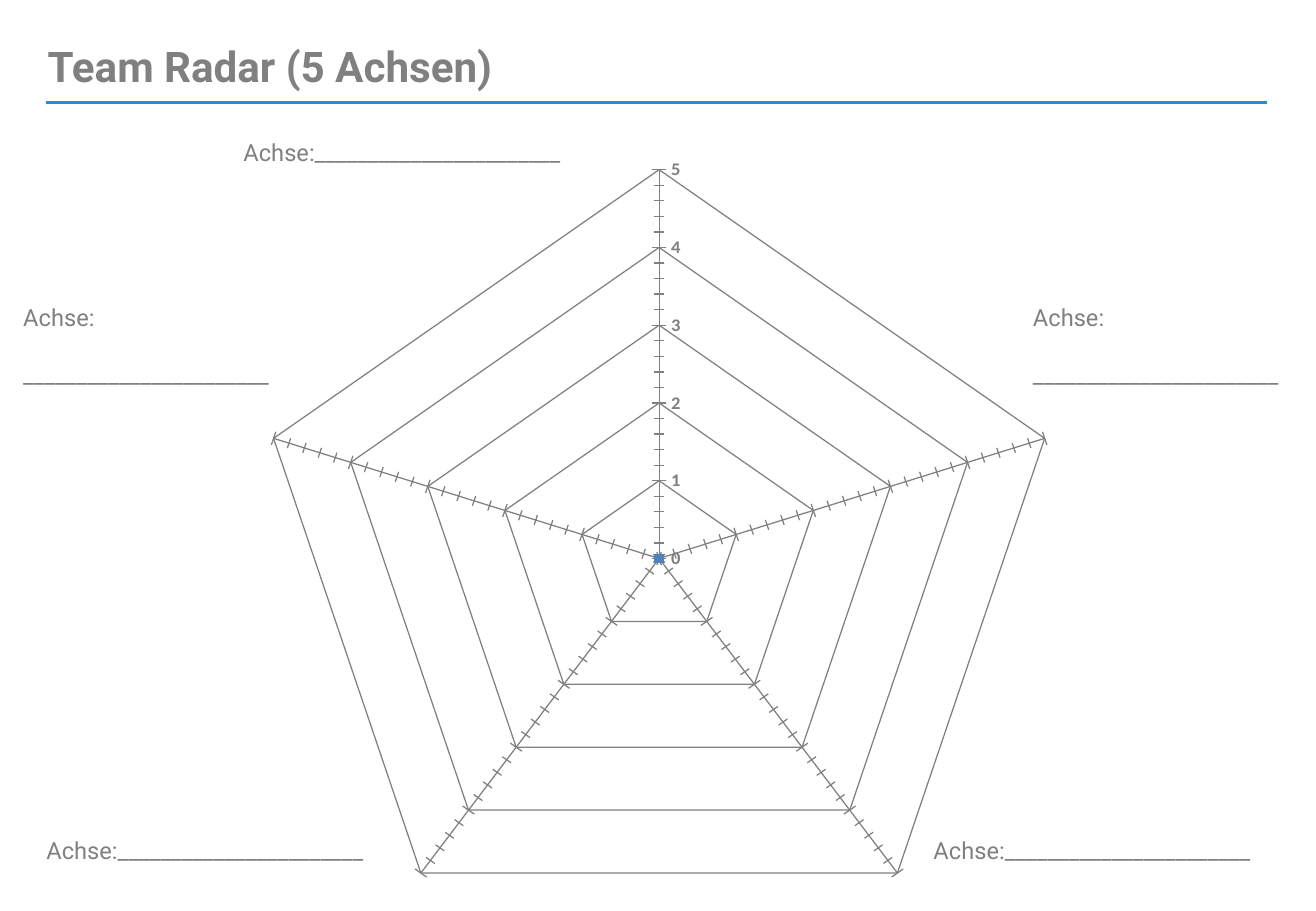
from lxml import etree
from pptx import Presentation
from pptx.chart.data import CategoryChartData
from pptx.dml.color import RGBColor
from pptx.enum import chart as charts, shapes, text
from pptx.oxml import ns
from pptx.util import Pt

COLORS = {"grey": "808080", "rule": "1396DE", "marker": "4F81BD",
          "label": "000000", "white": "FFFFFF"}
TITLE = "Team Radar (5 Achsen)"
BLANK = "_______________________"
ONE_LINE = ["Achse:" + BLANK]
TWO_LINES = ["Achse:", BLANK]
AXIS_LABELS = [
    (137.2, 78.2, 219.6, 24.5, ONE_LINE, False),
    (605.2, 176.1, 174, 58.3, TWO_LINES, False),
    (20.4, 492, 219.6, 24.5, ONE_LINE, True),
    (546.2, 492, 219.6, 24.5, ONE_LINE, True),
    (6.7, 176.1, 178, 58.3, TWO_LINES, False),
]
AXIS_COUNT = 5
SCALE_MAX = 5
PLOT = {"x": 0.203, "y": 0.057, "w": 0.664, "h": 0.89}


def color(name):
    return RGBColor.from_string(COLORS[name])


def style_line(line, name, width):
    line.color.rgb = color(name)
    line.width = Pt(width)


def style_font(font, family, size, name, bold=False):
    font.name = family
    font.size = Pt(size)
    font.bold = bold
    font.color.rgb = color(name)


def add_panel(page, bounds):
    panel = page.shapes.add_shape(shapes.MSO_SHAPE.RECTANGLE, *bounds)
    panel.shadow.inherit = False
    panel.fill.solid()
    panel.fill.fore_color.rgb = color("white")
    panel.line.fill.background()
    return panel


def add_text(page, left, top, width, height, lines, size, bold=False, filled=False):
    bounds = [Pt(length) for length in (left, top, width, height)]
    box = add_panel(page, bounds) if filled else page.shapes.add_textbox(*bounds)
    frame = box.text_frame
    frame.word_wrap = True
    frame.vertical_anchor = text.MSO_ANCHOR.TOP
    for index, line in enumerate(lines):
        para = frame.add_paragraph() if index else frame.paragraphs[0]
        para.text = line
        para.alignment = text.PP_ALIGN.LEFT
        if index:
            para.space_before = Pt(17)
        style_font(para.font, "Roboto", size, "grey", bold)
    return box


def add_rule(page):
    rule = page.shapes.add_connector(
        shapes.MSO_CONNECTOR.STRAIGHT, Pt(27.5), Pt(60.8), Pt(751), Pt(60.8))
    style_line(rule.line, "rule", 2)
    etree.SubElement(rule.line._get_or_add_ln().getparent(), ns.qn("a:effectLst"))


def place_plot(chart):
    area = chart._chartSpace.chart.plotArea
    for old in area.findall(ns.qn("c:layout")):
        area.remove(old)
    layout = etree.Element(ns.qn("c:layout"))
    manual = etree.SubElement(layout, ns.qn("c:manualLayout"))
    settings = [("layoutTarget", "inner"), ("xMode", "edge"), ("yMode", "edge")]
    for tag, value in settings + list(PLOT.items()):
        etree.SubElement(manual, ns.qn("c:" + tag)).set("val", str(value))
    area.insert(0, layout)


def add_radar(page):
    data = CategoryChartData()
    data.categories = [" "] * AXIS_COUNT
    data.add_series("Series 1", [0] * AXIS_COUNT)
    chart = page.shapes.add_chart(
        charts.XL_CHART_TYPE.RADAR_MARKERS,
        Pt(-26.6), Pt(49), Pt(780), Pt(540), data).chart
    chart.has_title = False
    chart.has_legend = False
    style_font(chart.font, "Calibri", 18, "label")
    place_plot(chart)

    scale = chart.value_axis
    scale.minimum_scale = 0
    scale.maximum_scale = SCALE_MAX
    scale.major_unit = 1
    scale.minor_unit = 0.2
    scale.major_tick_mark = charts.XL_TICK_MARK.CROSS
    scale.minor_tick_mark = charts.XL_TICK_MARK.CROSS
    scale.tick_labels.number_format = "0"
    scale.tick_labels.number_format_is_linked = False
    style_font(scale.tick_labels.font, "Calibri", 11, "grey", True)
    for axis in (chart.category_axis, scale):
        axis.has_major_gridlines = True
        style_line(axis.major_gridlines.format.line, "grey", 0.75)
        style_line(axis.format.line, "grey", 0.75)

    plot = chart.plots[0]
    plot.vary_by_categories = False
    series = plot.series[0]
    style_line(series.format.line, "marker", 2)
    series.marker.style = charts.XL_MARKER_STYLE.SQUARE
    series.marker.size = 5
    series.marker.format.fill.solid()
    series.marker.format.fill.fore_color.rgb = color("marker")
    style_line(series.marker.format.line, "marker", 0.75)


def main():
    deck = Presentation()
    deck.slide_width, deck.slide_height = Pt(780), Pt(540)
    page = deck.slides.add_slide(deck.slide_layouts[6])
    add_rule(page)
    add_radar(page)
    title = add_text(page, 21.2, 5.4, 553.7, 69.8, [TITLE], 25, True)
    title.text_frame.vertical_anchor = text.MSO_ANCHOR.MIDDLE
    title.text_frame.paragraphs[0].line_spacing = Pt(27.3)
    for left, top, width, height, lines, filled in AXIS_LABELS:
        add_text(page, left, top, width, height, lines, 14, filled=filled)
    deck.save("out.pptx")


if __name__ == "__main__":
    main()
